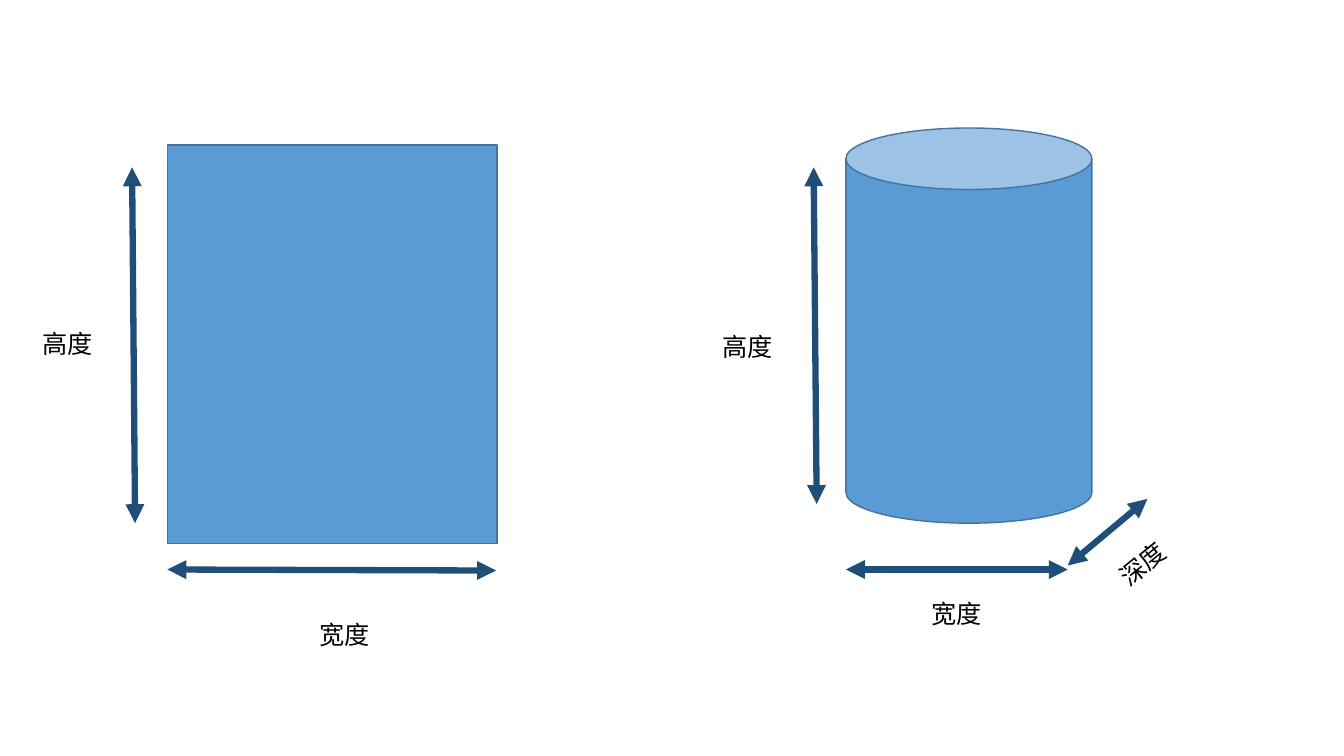
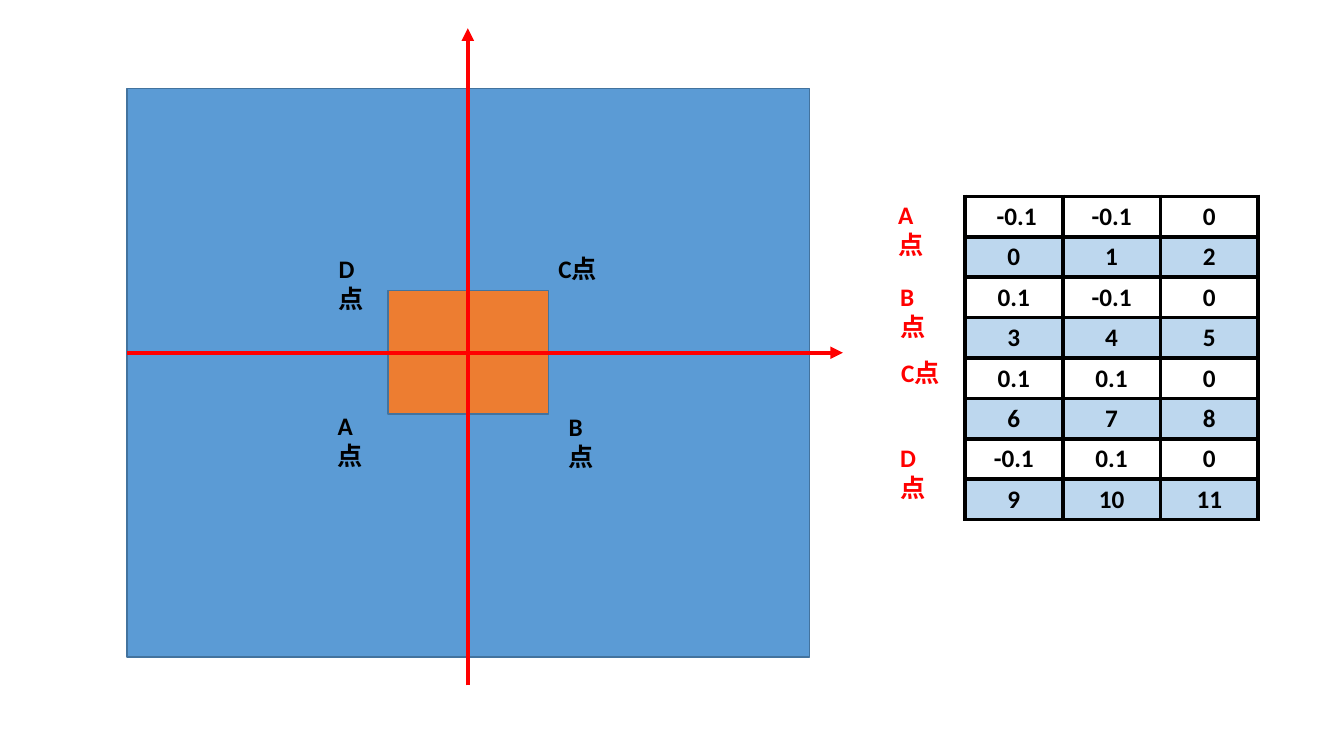
from pptx import Presentation
from pptx.dml.color import RGBColor
from pptx.enum.shapes import MSO_CONNECTOR, MSO_SHAPE
from pptx.enum.text import PP_ALIGN
from pptx.oxml.ns import qn
from pptx.util import Inches, Pt
from lxml import etree

RECT, CAN = MSO_SHAPE.RECTANGLE, MSO_SHAPE.CAN
STRAIGHT = MSO_CONNECTOR.STRAIGHT
CENTER = PP_ALIGN.CENTER
BLUE, EDGE, NAVY, PALE = "5B9BD5", "43739E", "1F4E79", "BDD7EE"
ORANGE, RED, BLACK, WHITE = "ED7D31", "FF0000", "000000", "FFFFFF"
FONT, SIZE = "Calibri", Pt(18)
ROW, COL = 0.4, 0.97


def color(code):
    return RGBColor.from_string(code)


def style(para, code, bold):
    """Give a paragraph the shared font."""
    font = para.font
    font.name, font.size, font.bold = FONT, SIZE, bold
    font.color.rgb = color(code)


deck = Presentation()
deck.slide_width, deck.slide_height = Inches(13.33), Inches(7.5)
blank = deck.slide_layouts[6]

# Each slide: shapes (kind, box, fill), arrows (from, to),
# labels (text, left, top, turn, colour)
sizes = dict(
    shapes=[
        (RECT, (1.66, 1.44, 3.27, 3.95), BLUE),
        (CAN, (8.39, 1.27, 2.44, 3.92), BLUE),
    ],
    arrows=[
        (1.31, 1.66, 1.34, 5.19),
        (4.92, 5.66, 1.66, 5.65),
        (10.59, 5.65, 8.39, 5.65),
        (11.38, 4.95, 10.59, 5.61),
        (8.07, 1.66, 8.1, 5),
    ],
    ink=NAVY, weight=4.5, ends=("headEnd", "tailEnd"),
    labels=[
        ("高度", 0.32, 3.21, 0, BLACK),
        ("宽度", 3.07, 6.09, 0, BLACK),
        ("高度", 7.07, 3.24, 0, BLACK),
        ("宽度", 9.14, 5.89, 0, BLACK),
        ("深度", 10.98, 5.39, 320.9, BLACK),
    ],
    wide=0.71, bold=False,
)
points = dict(
    shapes=[
        (RECT, (1.26, 0.88, 6.77, 5.64), BLUE),
        (RECT, (3.85, 2.88, 1.59, 1.23), ORANGE),
    ],
    arrows=[(1.26, 3.5, 8.36, 3.5), (4.64, 6.8, 4.64, 0.28)],
    ink=RED, weight=3, ends=("tailEnd",),
    labels=[
        ("A点", 3.25, 4.02, 0, BLACK),
        ("B点", 5.54, 4.03, 0, BLACK),
        ("C点", 5.44, 2.46, 0, BLACK),
        ("D点", 3.26, 2.46, 0, BLACK),
        ("A点", 8.81, 1.93, 0, RED),
        ("B点", 8.83, 2.74, 0, RED),
        ("C点", 8.84, 3.5, 0, RED),
        ("D点", 8.83, 4.34, 0, RED),
    ],
    wide=0.58, bold=True,
)

for plan in (sizes, points):
    slide = deck.slides.add_slide(blank)

    for kind, box, fill in plan["shapes"]:
        shape = slide.shapes.add_shape(kind, *map(Inches, box))
        shape.shadow.inherit = False
        shape.fill.solid()
        shape.fill.fore_color.rgb = color(fill)
        shape.line.color.rgb = color(EDGE)
        shape.line.width = Pt(1)

    for ends in plan["arrows"]:
        arrow = slide.shapes.add_connector(STRAIGHT, *map(Inches, ends))
        arrow.line.color.rgb = color(plan["ink"])
        arrow.line.width = Pt(plan["weight"])
        props = arrow.line._get_or_add_ln()
        for end in plan["ends"]:
            etree.SubElement(props, qn("a:" + end), type="triangle")
        etree.SubElement(arrow._element.spPr, qn("a:effectLst"))

    for text, left, top, turn, ink in plan["labels"]:
        label = slide.shapes.add_textbox(
            Inches(left), Inches(top), Inches(plan["wide"]), Inches(0.4))
        label.rotation = turn
        frame = label.text_frame
        frame.word_wrap = True
        frame.text = text
        style(frame.paragraphs[0], ink, plan["bold"])

# Each point's coordinates, followed by the running index of each value
coords = [
    (" -0.1", "-0.1", "0"),
    ("0.1", "-0.1", "0"),
    ("0.1", "0.1", "0"),
    ("-0.1", "0.1", "0"),
]
rows = []
for num, coord in enumerate(coords):
    rows += [coord, [str(3 * num + axis) for axis in range(3)]]

table = slide.shapes.add_table(
    len(rows), 3, Inches(9.57), Inches(1.95),
    Inches(3 * COL), Inches(len(rows) * ROW)).table
for col in table.columns:
    col.width = Inches(COL)
for i, row in enumerate(rows):
    table.rows[i].height = Inches(ROW)
    for j, text in enumerate(row):
        cell = table.cell(i, j)
        cell.text = text
        para = cell.text_frame.paragraphs[0]
        para.alignment = CENTER
        style(para, BLACK, True)
        props = cell._tc.get_or_add_tcPr()
        for side in ("lnL", "lnR", "lnT", "lnB"):
            line = etree.SubElement(props, qn("a:" + side), w=str(Pt(3)))
            solid = etree.SubElement(line, qn("a:solidFill"))
            etree.SubElement(solid, qn("a:srgbClr"), val=BLACK)
        cell.fill.solid()
        cell.fill.fore_color.rgb = color(PALE if i % 2 else WHITE)

deck.save("out.pptx")
